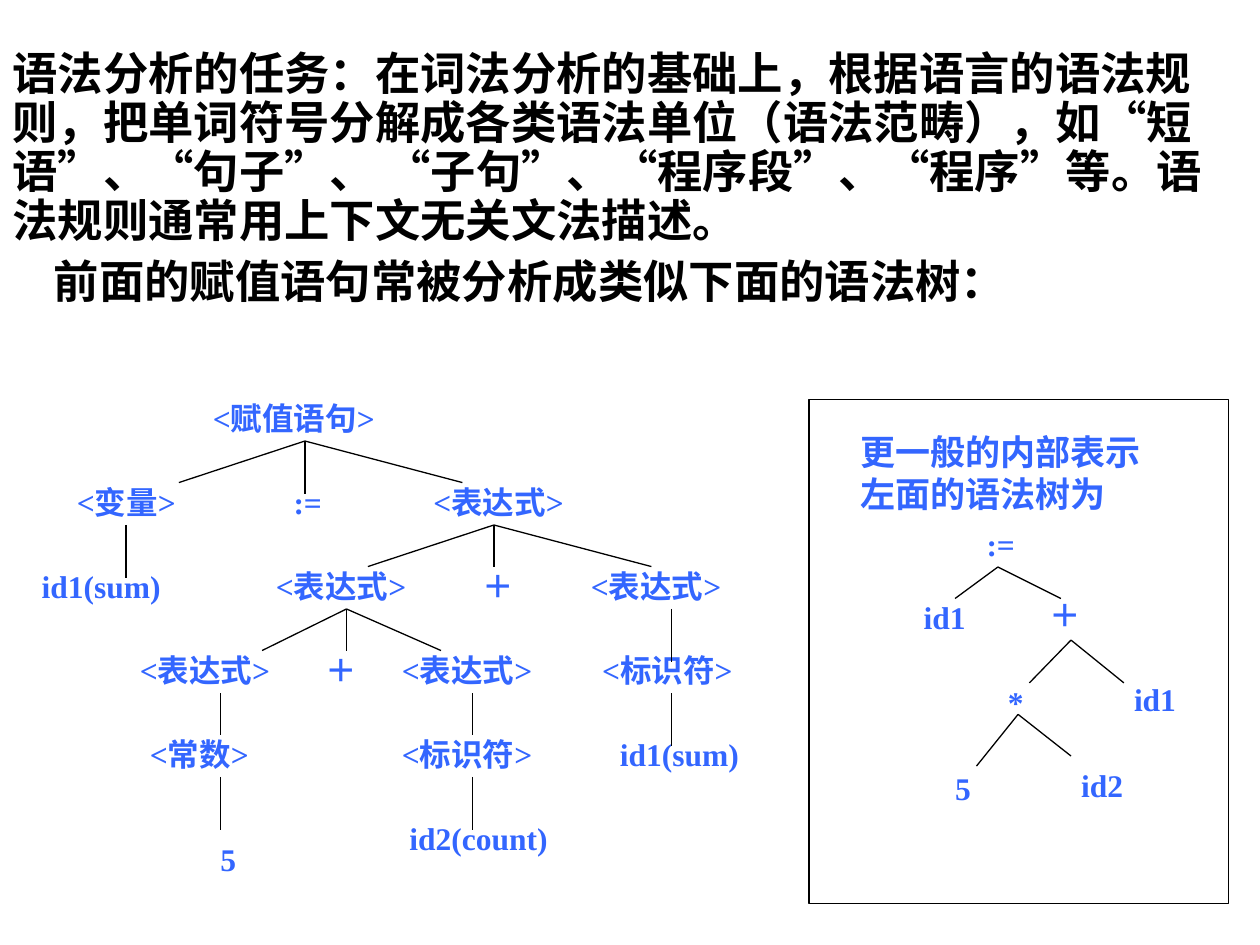
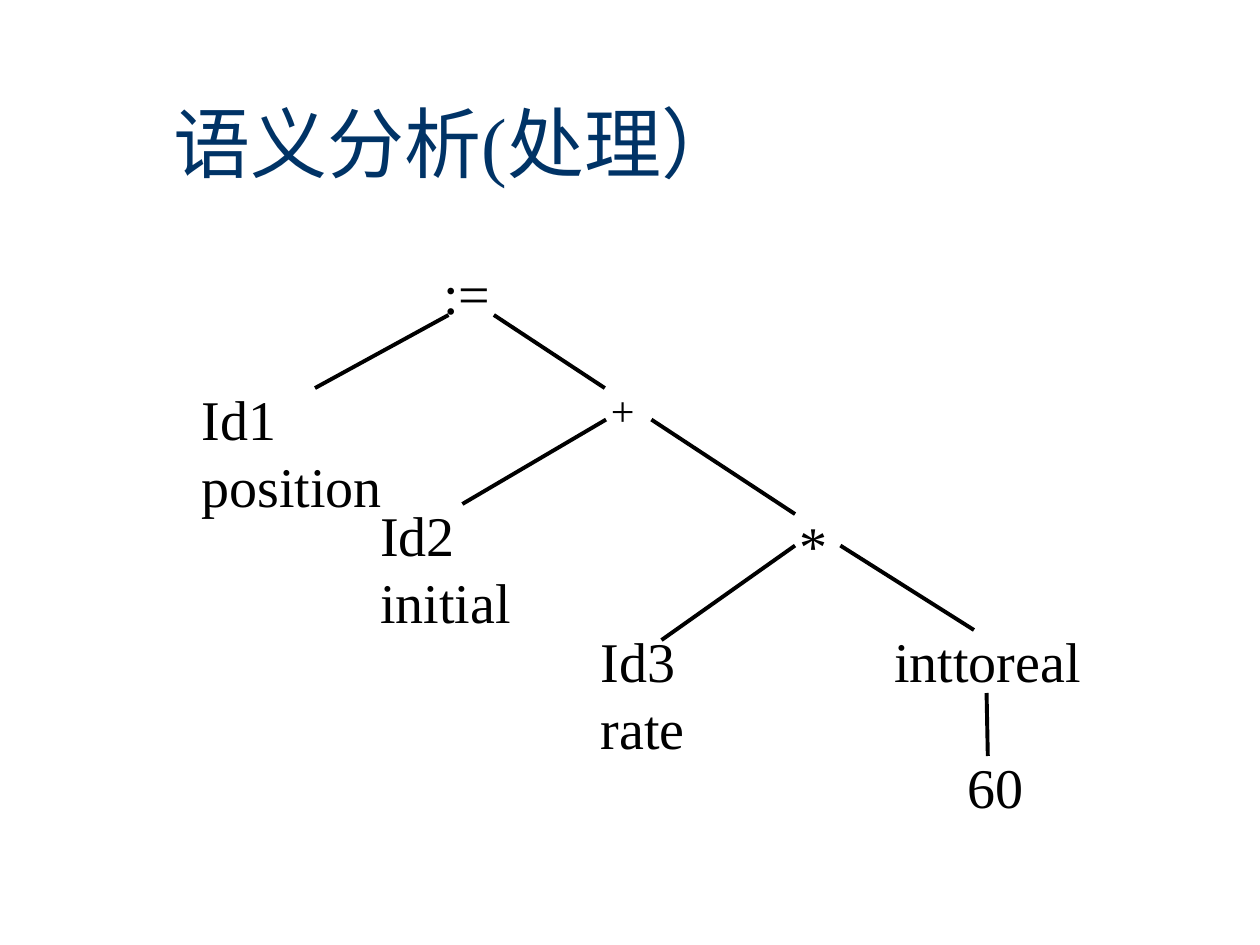
"""Build two slides on syntax trees and semantic analysis."""
from itertools import groupby

from lxml.etree import SubElement
from pptx import Presentation
from pptx.dml.color import RGBColor
from pptx.enum.shapes import MSO_CONNECTOR, MSO_SHAPE
from pptx.enum.text import MSO_ANCHOR, MSO_AUTO_SIZE
from pptx.oxml.ns import qn
from pptx.util import Inches, Pt

COLORS = {"ink": "000000", "label": "3366FF", "title": "003366"}
SERIF, SANS, QUOTE_FONT = "Times New Roman", "Noto Sans CJK SC", "Arial"

STYLES = {
    "body": {"size": 25.9, "bold": True, "color": "ink", "name": SANS},
    "label": {"size": 18, "bold": True, "color": "label", "name": SERIF},
    "caption": {"size": 20, "bold": True, "color": "label", "name": SERIF},
    "title": {"size": 44, "bold": False, "color": "title", "name": SERIF},
    "node": {"size": 32, "bold": False, "color": "ink", "name": SERIF},
    "small node": {"size": 24, "bold": False, "color": "ink", "name": SERIF},
}

TASK = ("语法分析的任务：在词法分析的基础上，根据语言的语法规则，把单词符号分解成各类语法单位"
        "（语法范畴），如“短语”、“句子”、 “子句”、“程序段”、“程序”等。"
        "语法规则通常用上下文无关文法描述。")
LEAD_IN = "前面的赋值语句常被分析成类似下面的语法树："
CAPTION = "更一般的内部表示左面的语法树为"

TREE_TOP, ROW_PITCH, BRANCH_OFFSET = 3.17, 2 / 3, 0.33
SHORT_DROP, LONG_DROP = 0.33, 0.42
PARSE_ROWS = [
    (0, [(1.69, "<赋值语句>")]),
    (1, [(0.61, "<变量>"), (2.33, ":="), (3.44, "<表达式>")]),
    (2, [(0.33, "id1(sum)"), (2.19, "<表达式>"), (3.83, "＋"), (4.69, "<表达式>")]),
    (3, [(1.11, "<表达式>"), (2.58, "＋"), (3.19, "<表达式>"), (4.78, "<标识符>")]),
    (4, [(1.19, "<常数>"), (3.19, "<标识符>"), (4.92, "id1(sum)")]),
    (5, [(3.25, "id2(count)")]),
    (5.25, [(1.75, "5")]),
]
PARSE_BRANCHES = [
    (0, 2.42, [(1.42, SHORT_DROP), (3.67, SHORT_DROP), (2.42, LONG_DROP)]),
    (1, 1, [(1, LONG_DROP)]),
    (1, 3.92, [(2.92, SHORT_DROP), (5.17, SHORT_DROP), (3.92, SHORT_DROP)]),
    (2, 2.75, [(2.08, SHORT_DROP), (3.5, SHORT_DROP), (2.75, SHORT_DROP)]),
    (2, 5.33, [(5.33, LONG_DROP)]),
    (3, 1.75, [(1.75, SHORT_DROP)]),
    (3, 3.75, [(3.75, SHORT_DROP)]),
    (3, 5.33, [(5.33, LONG_DROP)]),
    (4, 1.75, [(1.75, LONG_DROP)]),
    (4, 3.75, [(3.75, LONG_DROP)]),
]
LABEL_WIDTHS = {":=": 0.23, "＋": 0.25, "*": 0.13, "5": 0.13, "id1": 0.35,
                "id2": 0.35, "id1(sum)": 0.95, "id2(count)": 1.1}

COMPACT_LABELS = [
    (7.83, 4.17, ":="), (7.33, 4.75, "id1"), (8.33, 4.73, "＋"), (9, 5.4, "id1"),
    (8, 5.42, "*"), (8.58, 6.08, "id2"), (7.58, 6.1, "5"),
]
COMPACT_BRANCHES = [
    (7.92, 4.5, [(7.58, 4.75), (8.42, 4.75)]),
    (8.5, 5.08, [(8.17, 5.42), (8.92, 5.42)]),
    (8.08, 5.67, [(7.75, 6.08), (8.5, 6)]),
]

SEMANTIC_TITLE = "语义分析(处理）"
SEMANTIC_NODES = [
    (7.58, 5.92, 0.67, 0.64, "60", "node"),
    (3.42, 2, 0.71, 0.64, ":=", "node"),
    (4.75, 3, 0.71, 0.5, "+", "small node"),
    (6.25, 4, 0.71, 0.64, "*", "node"),
    (1.5, 3, 1.76, 1.17, "Id1 position", "node"),
    (2.92, 3.92, 1.32, 1.17, "Id2 initial", "node"),
    (4.67, 4.92, 0.97, 1.17, "Id3 rate", "node"),
    (7, 4.92, 1.75, 0.64, "inttoreal", "node"),
]
SEMANTIC_EDGES = [
    (2.5, 3.08, 3.56, 2.5), (3.92, 2.5, 4.8, 3.08),
    (4.81, 3.33, 3.67, 4), (5.17, 3.33, 6.31, 4.08),
    (6.67, 4.33, 7.73, 5), (6.31, 4.33, 5.25, 5.08),
    (7.83, 5.5, 7.84, 6),
]


def color(name):
    return RGBColor.from_string(COLORS[name])


def add_run(paragraph, text, style, **changes):
    run = paragraph.add_run()
    run.text = text
    values = {**STYLES[style], **changes}
    run.font.color.rgb = color(values.pop("color"))
    values["size"] = Pt(values["size"])
    for attribute, value in values.items():
        setattr(run.font, attribute, value)
    east_asian = SubElement(run.font._element, qn("a:ea"))
    east_asian.set("typeface", SANS)


def add_frame(slide, box, inset=None, **settings):
    frame = slide.shapes.add_textbox(*map(Inches, box)).text_frame
    values = {"word_wrap": True, "auto_size": MSO_AUTO_SIZE.NONE, **settings}
    if inset is not None:
        for side in ("left", "top", "right", "bottom"):
            values[f"margin_{side}"] = Inches(inset)
    for attribute, value in values.items():
        setattr(frame, attribute, value)
    return frame


def add_text(slide, box, text, style, **settings):
    add_run(add_frame(slide, box, **settings).paragraphs[0], text, style)


def add_label(slide, left, top, text):
    width = LABEL_WIDTHS.get(text) or 0.41 + 0.25 * (len(text) - 2)
    add_text(slide, (left, top, width, 0.3), text, "label", inset=0,
             word_wrap=False, auto_size=MSO_AUTO_SIZE.SHAPE_TO_FIT_TEXT)


def add_line(slide, ends, weight):
    line = slide.shapes.add_connector(MSO_CONNECTOR.STRAIGHT, *map(Inches, ends))
    line.line.color.rgb = color("ink")
    line.line.width = Pt(weight)
    SubElement(line._element.spPr, qn("a:effectLst"))


def add_task_text(slide):
    frame = add_frame(slide, (0, 0.36, 9.83, 2.72))
    task, lead_in = frame.paragraphs[0], frame.add_paragraph()
    for is_quote, characters in groupby(TASK, key=lambda mark: mark in "“”"):
        add_run(task, "".join(characters), "body", name=QUOTE_FONT if is_quote else SANS)
    add_run(lead_in, LEAD_IN, "body")
    task.line_spacing = lead_in.line_spacing = 0.9
    lead_in.space_before = Pt(7)
    lead_in._p.get_or_add_pPr().set("indent", str(Inches(0.33)))


def build_syntax_slide(slide):
    add_task_text(slide)
    for row, labels in PARSE_ROWS:
        for left, text in labels:
            add_label(slide, left, TREE_TOP + row * ROW_PITCH, text)
    for row, x, children in PARSE_BRANCHES:
        y = TREE_TOP + BRANCH_OFFSET + row * ROW_PITCH
        for child_x, drop in children:
            add_line(slide, (x, y, child_x, y + drop), 0.75)
    for label in COMPACT_LABELS:
        add_label(slide, *label)
    for x, y, children in COMPACT_BRANCHES:
        for child in children:
            add_line(slide, (x, y, *child), 0.75)
    add_text(slide, (6.83, 3.42, 2.42, 0.67), CAPTION, "caption", inset=0)
    panel = slide.shapes.add_shape(MSO_SHAPE.RECTANGLE, *map(Inches, (6.42, 3.17, 3.33, 4)))
    panel.shadow.inherit = False
    panel.fill.background()
    panel.line.color.rgb = color("ink")
    panel.line.width = Pt(0.75)


def build_semantic_slide(slide):
    add_text(slide, (1.28, 0.5, 8.5, 1.25), SEMANTIC_TITLE, "title",
             vertical_anchor=MSO_ANCHOR.MIDDLE)
    for *box, text, style in SEMANTIC_NODES:
        add_text(slide, box, text, style)
    for ends in SEMANTIC_EDGES:
        add_line(slide, ends, 2.25)


def main():
    presentation = Presentation()
    presentation.slide_width, presentation.slide_height = Inches(10), Inches(7.5)
    for build in (build_syntax_slide, build_semantic_slide):
        build(presentation.slides.add_slide(presentation.slide_layouts[6]))
    presentation.save("out.pptx")


if __name__ == "__main__":
    main()
